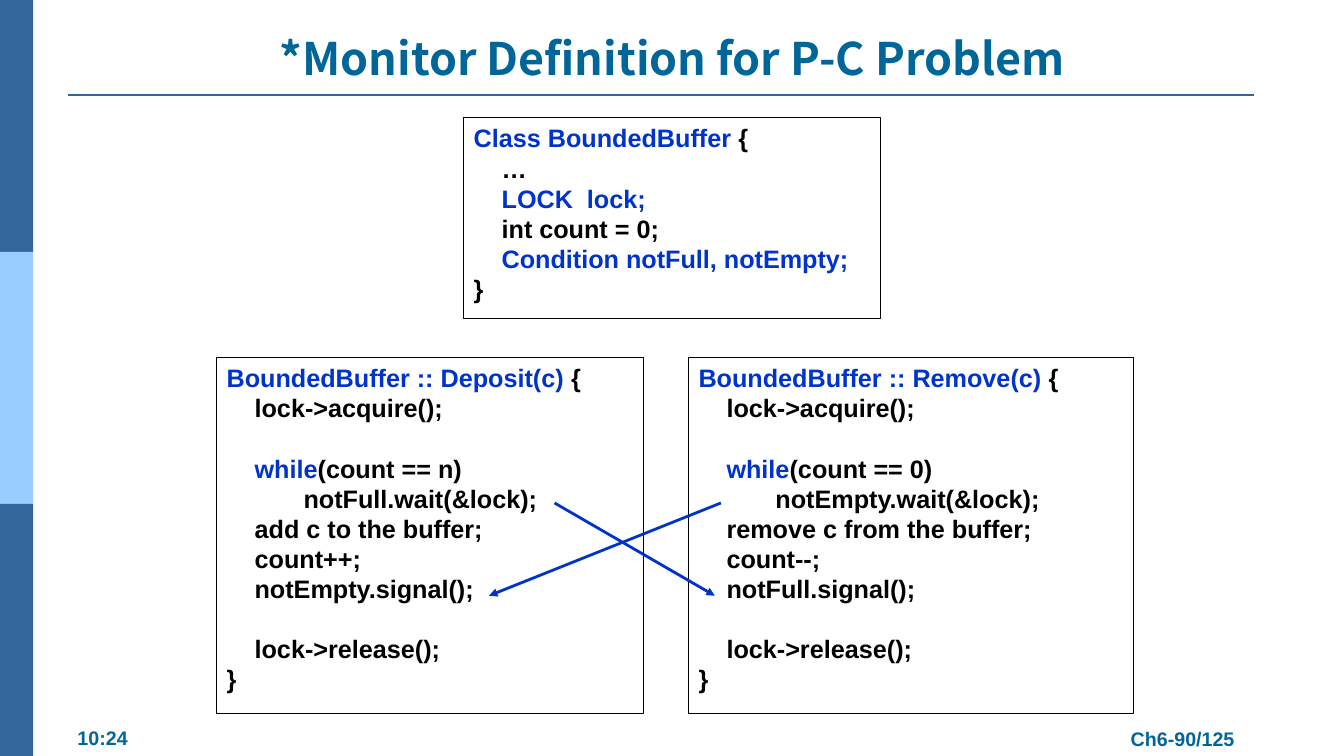
import pptx
import pptx.util
import pptx.dml.color
import pptx.enum.shapes
import pptx.enum.text
import pptx.oxml
import pptx.oxml.ns
from pptx.util import Inches

RGBColor = pptx.dml.color.RGBColor
Align = pptx.enum.text.PP_ALIGN
Anchor = pptx.enum.text.MSO_ANCHOR
RECTANGLE = pptx.enum.shapes.MSO_SHAPE.RECTANGLE
STRAIGHT = pptx.enum.shapes.MSO_CONNECTOR.STRAIGHT

STEEL = RGBColor(0x33, 0x66, 0x99)
SKY = RGBColor(0x99, 0xCC, 0xFF)
TEAL = RGBColor(0x00, 0x66, 0x99)
BLUE = RGBColor(0x00, 0x33, 0xCC)
BLACK = RGBColor(0, 0, 0)

CODE_SIZE = 18
BLANK_LINE = 21.5

# Each line is a list of (text, colour) spans; None is a blank line.
CLASS_CODE = [
    [("Class BoundedBuffer ", BLUE), ("{", BLACK)],
    [("    …", BLACK)],
    [("    LOCK  lock;", BLUE)],
    [("    int count = 0;", BLACK)],
    [("    Condition notFull, notEmpty;", BLUE)],
    [("}", BLACK)],
]


def method_code(name, limit, awaited, action, step, signalled):
    return [
        [(f"BoundedBuffer :: {name}(c) ", BLUE), ("{", BLACK)],
        [("    lock->acquire();", BLACK)],
        None,
        [("    while", BLUE), (f"(count == {limit})", BLACK)],
        [(f"           {awaited}.wait(&lock);", BLACK)],
        [(f"    {action} the buffer;", BLACK)],
        [(f"    count{step};", BLACK)],
        [(f"    {signalled}.signal();", BLACK)],
        None,
        [("    lock->release();", BLACK)],
        [("}", BLACK)],
    ]


def add_span(para, text, size, color, font="Arial"):
    span = para.add_run()
    span.text = text
    span.font.name = font
    span.font.size = pptx.util.Pt(size)
    span.font.bold = True
    span.font.color.rgb = color
    if font != "Arial":
        east_asian = pptx.oxml.parse_xml(
            f'<a:ea {pptx.oxml.ns.nsdecls("a")} typeface="{font}"/>')
        span.font._element.append(east_asian)


def add_label(page, text, left, top, width, height, size, align,
              font="Arial", anchor=Anchor.TOP):
    box = page.shapes.add_textbox(
        Inches(left), Inches(top), Inches(width), Inches(height))
    frame = box.text_frame
    frame.word_wrap = True
    frame.vertical_anchor = anchor
    para = frame.paragraphs[0]
    para.alignment = align
    add_span(para, text, size, TEAL, font)


def add_line(page, start, end, color, width, arrow=False):
    line = page.shapes.add_connector(
        STRAIGHT, *(Inches(value) for value in start + end))
    line.line.color.rgb = color
    line.line.width = pptx.util.Pt(width)
    names = pptx.oxml.ns.nsdecls("a")
    if arrow:
        line.line._get_or_add_ln().append(
            pptx.oxml.parse_xml(f'<a:tailEnd {names} type="triangle"/>'))
    line._element.spPr.append(pptx.oxml.parse_xml(f"<a:effectLst {names}/>"))


def add_sidebar(page, left, top, width, height):
    band_height = height / 3
    for index, color in enumerate((STEEL, SKY, STEEL)):
        band = page.shapes.add_shape(
            RECTANGLE, Inches(left), Inches(top + index * band_height),
            Inches(width), Inches(band_height))
        band.shadow.inherit = False
        band.fill.solid()
        band.fill.fore_color.rgb = color
        band.line.fill.background()


def add_heading(page, left, top, width, height):
    add_label(page, "*Monitor Definition for P-C Problem", left, top, width,
              height, 32, Align.CENTER, "Noto Sans CJK SC", Anchor.BOTTOM)
    rule_top = top + height + 0.05
    add_line(page, (left, rule_top), (left + 11.77, rule_top), STEEL, 1.5)


def add_footer(page, left, top, width, height):
    add_label(page, "10:24", left, top, 0.75, height, 14, Align.LEFT)
    add_label(page, "Ch6-90/125", left + width - 1.3, top + 0.01, 1.3,
              height, 14, Align.CENTER)


def add_code_box(page, code, left, top, width, height):
    box = page.shapes.add_shape(
        RECTANGLE, Inches(left), Inches(top), Inches(width), Inches(height))
    box.shadow.inherit = False
    box.fill.background()
    box.line.color.rgb = BLACK
    box.line.width = pptx.util.Pt(0.75)
    frame = box.text_frame
    frame.word_wrap = True
    frame.vertical_anchor = Anchor.TOP
    para, after_blank = frame.paragraphs[0], False
    for index, spans in enumerate(code):
        if spans is None:
            after_blank = True
            continue
        if index:
            para = frame.add_paragraph()
        para.alignment = Align.LEFT
        para.line_spacing = pptx.util.Pt(BLANK_LINE)
        if after_blank:
            para.space_before = pptx.util.Pt(BLANK_LINE)
        after_blank = False
        for text, color in spans:
            add_span(para, text, CODE_SIZE, color)


def add_methods(page, left, top, height):
    deposit = method_code("Deposit", "n", "notFull", "add c to", "++",
                          "notEmpty")
    remove = method_code("Remove", "0", "notEmpty", "remove c from", "--",
                         "notFull")
    add_code_box(page, deposit, left, top, 4.23, height)
    add_code_box(page, remove, left + 4.68, top, 4.41, height)
    # Each wait is paired with the signal in the other method
    wait_y, signal_y = top + 1.44, top + 2.36
    add_line(page, (left + 3.35, wait_y), (left + 4.94, signal_y),
             BLUE, 2, arrow=True)
    add_line(page, (left + 5, wait_y), (left + 2.7, signal_y),
             BLUE, 2, arrow=True)


def main():
    deck = pptx.Presentation()
    deck.slide_width = Inches(13.33)
    deck.slide_height = Inches(7.5)
    page = deck.slides.add_slide(deck.slide_layouts[6])
    add_sidebar(page, 0, 0, 0.33, 7.5)
    add_heading(page, 0.67, 0.26, 12, 0.63)
    add_footer(page, 0.67, 7.15, 11.71, 0.34)
    add_code_box(page, CLASS_CODE, 4.6, 1.17, 4.13, 1.99)
    add_methods(page, 2.15, 3.55, 3.53)
    deck.save("out.pptx")


if __name__ == "__main__":
    main()
